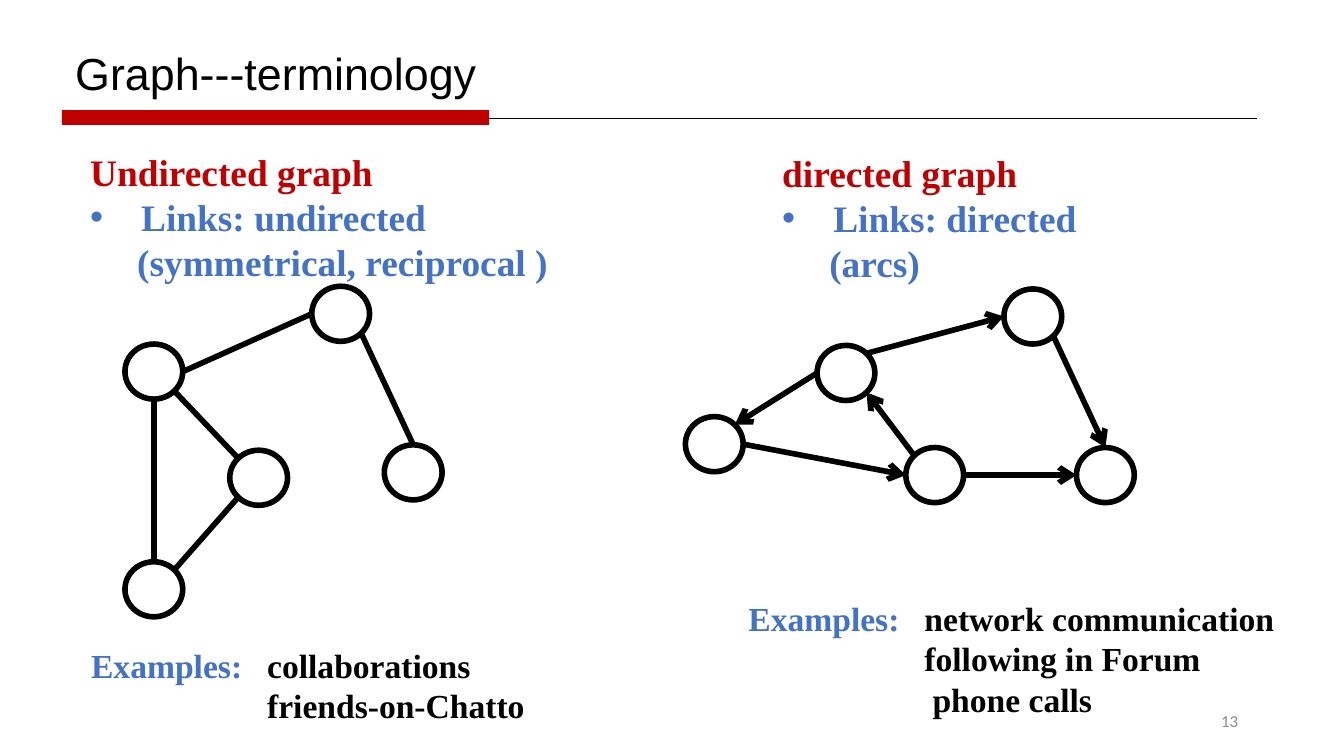
from lxml.etree import SubElement
from pptx import Presentation
from pptx.dml.color import RGBColor
from pptx.enum.shapes import MSO_CONNECTOR, MSO_SHAPE
from pptx.enum.text import MSO_ANCHOR, MSO_AUTO_SIZE, PP_ALIGN
from pptx.oxml.ns import qn
from pptx.util import Inches, Pt

COLORS = {"black": "000000", "red": "C00000", "blue": "4472C4", "gray": "8C8C8C"}


def add_text(frame, *runs, size=20, font="Times New Roman", bold=True,
             margin=0, indent=0, bullet=None, align=PP_ALIGN.LEFT):
    """Add one paragraph made of (text, color name) runs."""
    paragraph = frame.paragraphs[0]
    if paragraph.runs:
        paragraph = frame.add_paragraph()
    paragraph.alignment = align
    paragraph.space_before = Pt(0)
    properties = paragraph._p.get_or_add_pPr()
    properties.set("marL", str(Inches(margin)))
    properties.set("indent", str(Inches(indent)))
    if bullet:
        SubElement(properties, qn("a:buFont")).set("typeface", "Arial")
        SubElement(properties, qn("a:buChar")).set("char", bullet)
    else:
        SubElement(properties, qn("a:buNone"))
    for text, color in runs:
        run = paragraph.add_run()
        run.text = text
        run.font.size = Pt(size)
        run.font.name = font
        run.font.bold = bold
        run.font.color.rgb = RGBColor.from_string(COLORS[color])


def add_line(start, end, width=3, arrow=False):
    line = slide.shapes.add_connector(
        MSO_CONNECTOR.STRAIGHT, *(Inches(v) for v in (*start, *end)))
    line.line.color.rgb = RGBColor.from_string(COLORS["black"])
    line.line.width = Pt(width)
    properties = line._element.spPr
    if arrow:
        SubElement(properties.find(qn("a:ln")), qn("a:tailEnd")).set("type", "arrow")
    SubElement(properties, qn("a:effectLst"))


prs = Presentation()
prs.slide_width = Inches(10)
prs.slide_height = Inches(10 * 9 / 16)
slide = prs.slides.add_slide(prs.slide_layouts.get_by_name("Two Content"))
title, left_list, right_list = slide.placeholders

# Title with its rule
title.left, title.top, title.width, title.height = (
    Inches(v) for v in (0.46, 0.29, 3.44, 0.5))
title.text_frame.word_wrap = False
title.text_frame.auto_size = MSO_AUTO_SIZE.NONE
title.text_frame.vertical_anchor = MSO_ANCHOR.TOP
add_text(title.text_frame, ("Graph---terminology", "black"),
         size=24, font="Arial", bold=False)

add_line((0.46, 0.88), (9.35, 0.88), width=0.5)
accent = slide.shapes.add_shape(
    MSO_SHAPE.RECTANGLE, Inches(0.46), Inches(0.82), Inches(3.18), Inches(0.11))
accent.shadow.inherit = False
accent.fill.solid()
accent.fill.fore_color.rgb = RGBColor.from_string(COLORS["red"])
accent.line.fill.background()

# Definitions
definitions = [
    (left_list, 0.57, 1.06, "Undirected graph", "Links: undirected",
     "(symmetrical, reciprocal )"),
    (right_list, 5.72, 1.07, "directed graph", "Links: directed", "(arcs)"),
]
for body, left, top, heading, links, detail in definitions:
    body.left, body.top, body.width, body.height = (
        Inches(v) for v in (left, top, 4.04, 1.11))
    frame = body.text_frame
    frame.auto_size = MSO_AUTO_SIZE.NONE
    add_text(frame, (heading, "red"))
    add_text(frame, (links, "blue"), margin=0.38, indent=-0.38, bullet="•")
    add_text(frame, (detail, "blue"), margin=0.35)

# Graphs: node positions, then links from one node's port to another's
NODE_W, NODE_H = 0.43, 0.41
DIAGONAL = 0.71
PORTS = {
    "N": (0, -1), "E": (1, 0), "S": (0, 1), "W": (-1, 0),
    "NE": (DIAGONAL, -DIAGONAL), "SE": (DIAGONAL, DIAGONAL),
    "SW": (-DIAGONAL, DIAGONAL), "NW": (-DIAGONAL, -DIAGONAL),
}
undirected_nodes = {"hub": (0.93, 2.56), "top": (2.32, 2.13), "bottom": (0.93, 4.18),
                    "middle": (1.71, 3.35), "right": (2.86, 3.31)}
undirected_links = [("hub", "E", "top", "W"), ("hub", "SE", "middle", "NW"),
                    ("middle", "SW", "bottom", "NE"), ("hub", "S", "bottom", "N"),
                    ("top", "SE", "right", "N")]
directed_nodes = {"hub": (6.08, 2.57), "top": (7.47, 2.15), "left": (5.1, 3.1),
                  "middle": (6.74, 3.33), "right": (8.01, 3.33)}
directed_links = [("hub", "NE", "top", "W"), ("middle", "NW", "hub", "SE"),
                  ("left", "E", "middle", "W"), ("hub", "W", "left", "NE"),
                  ("top", "SE", "right", "N"), ("middle", "E", "right", "W")]

for nodes, links, directed in [(undirected_nodes, undirected_links, False),
                               (directed_nodes, directed_links, True)]:
    for left, top in nodes.values():
        node = slide.shapes.add_shape(
            MSO_SHAPE.OVAL, Inches(left), Inches(top), Inches(NODE_W), Inches(NODE_H))
        node.shadow.inherit = False
        node.fill.background()
        node.line.color.rgb = RGBColor.from_string(COLORS["black"])
        node.line.width = Pt(3)
    for source, source_port, target, target_port in links:
        start, end = [
            (nodes[name][0] + NODE_W / 2 * (1 + PORTS[port][0]),
             nodes[name][1] + NODE_H / 2 * (1 + PORTS[port][1]))
            for name, port in [(source, source_port), (target, target_port)]]
        add_line(start, end, arrow=directed)

# Examples, aligned after their label
LABEL_W = 1.31
examples = [
    (0.58, 4.75, 4.04, 0.71, "collaborations", [("friends-on-Chatto", LABEL_W)]),
    (5.47, 4.4, 4.45, 1.01, "network communication",
     [("following in Forum", LABEL_W), ("phone calls", LABEL_W + 0.06)]),
]
for left, top, width, height, first, others in examples:
    box = slide.shapes.add_textbox(
        Inches(left), Inches(top), Inches(width), Inches(height))
    frame = box.text_frame
    frame.word_wrap = True
    add_text(frame, ("Examples:\t", "blue"), (first, "black"),
             size=18, margin=LABEL_W, indent=-LABEL_W)
    for example, margin in others:
        add_text(frame, (example, "black"), size=18, margin=margin)

# Slide number
number = slide.shapes.add_textbox(Inches(7.06), Inches(5.21), Inches(2.25), Inches(0.3))
number.text_frame.word_wrap = True
number.text_frame.vertical_anchor = MSO_ANCHOR.MIDDLE
add_text(number.text_frame, ("13", "gray"), size=9, font="Calibri", bold=False,
         align=PP_ALIGN.RIGHT)

prs.save("out.pptx")
